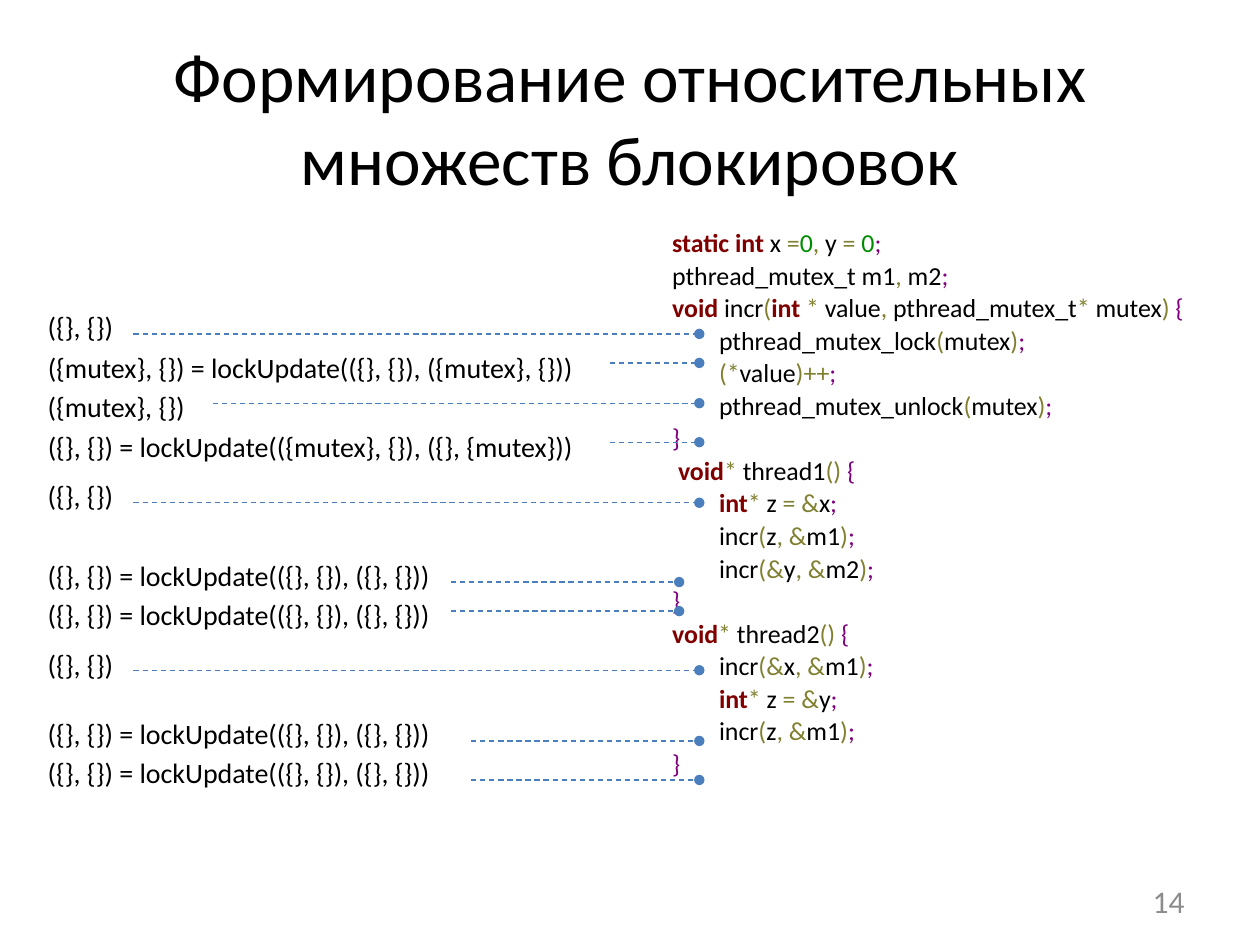
from itertools import groupby

from lxml import etree
from pptx import Presentation
from pptx.dml.color import RGBColor
from pptx.enum import dml, shapes, text
from pptx.oxml import ns
from pptx.util import Pt

BLACK = RGBColor(0x00, 0x00, 0x00)
GRAY = RGBColor(0x8C, 0x8C, 0x8C)
BLUE = RGBColor(0x4B, 0x7E, 0xBC)
MAROON = RGBColor(0x80, 0x00, 0x00)
OLIVE = RGBColor(0x80, 0x80, 0x30)
GREEN = RGBColor(0x00, 0x8C, 0x00)
PURPLE = RGBColor(0x80, 0x00, 0x80)

KEYWORDS = {"static", "int", "void"}
CODE_INDENT = 26.8

CODE = """static int x =0, y = 0;
pthread_mutex_t m1, m2;
void incr(int * value, pthread_mutex_t* mutex) {
\tpthread_mutex_lock(mutex);
\t(*value)++;
\tpthread_mutex_unlock(mutex);
}
 void* thread1() {
\tint* z = &x;
\tincr(z, &m1);
\tincr(&y, &m2);
}
void* thread2() {
\tincr(&x, &m1);
\tint* z = &y;
\tincr(z, &m1);
}"""

EMPTY = "({}, {})"
HELD = "({mutex}, {})"
UNCHANGED = "({}, {}) = lockUpdate(({}, {}), ({}, {}))"
LOCKED = "({mutex}, {}) = lockUpdate(({}, {}), ({mutex}, {}))"
UNLOCKED = "({}, {}) = lockUpdate(({mutex}, {}), ({}, {mutex}))"

# Lock set, top of its label, height of its leader, leader start and end
LOCK_SETS = [
    (EMPTY, 173.5, 190.8, 76.3, 399.6),
    (LOCKED, 196.5, 207.4, 348.5, 399.6),
    (HELD, 219, 230.4, 121.7, 399.6),
    (UNLOCKED, 242, 252.7, 348.5, 399.6),
    (EMPTY, 270, 287.3, 76.3, 399.6),
    (UNCHANGED, 315.4, 332.6, 257.8, 388.1),
    (UNCHANGED, 337.7, 349.2, 257.8, 388.1),
    (EMPTY, 366.5, 383, 76.3, 399.6),
    (UNCHANGED, 406, 423.4, 269.3, 399.6),
    (UNCHANGED, 428.4, 445.7, 269.3, 399.6),
]
LABEL_WIDTHS = {EMPTY: 52.6, HELD: 93.6, UNCHANGED: 235.4,
                LOCKED: 318.2, UNLOCKED: 318.2}


def char_kind(char):
    if char.isalnum() or char == "_":
        return "word"
    if char in ";{}":
        return "end"
    return "space" if char == " " else "operator"


def code_tokens(line):
    """Yield each token with its colour and weight."""
    for kind, chars in groupby(line, char_kind):
        token = "".join(chars)
        color = {"operator": OLIVE, "end": PURPLE}.get(kind, BLACK)
        if token in KEYWORDS:
            color = MAROON
        elif token.isdigit():
            color = GREEN
        yield token, color, token in KEYWORDS


class SlideBuilder:
    font = "Calibri"

    def __init__(self, slide):
        self.slide = slide

    def apply(self, target, values):
        for name, value in values.items():
            setattr(target, name, value)

    def span(self, para, words, size, color=BLACK, bold=False):
        span = para.add_run()
        span.text = words
        self.apply(span.font, {"name": self.font, "size": Pt(size), "bold": bold})
        span.font.color.rgb = color

    def title(self, words, left, top, width, height, size):
        title = self.slide.shapes.title
        self.apply(title, {"left": Pt(left), "top": Pt(top),
                           "width": Pt(width), "height": Pt(height)})
        self.apply(title.text_frame, {"word_wrap": True,
                                      "auto_size": text.MSO_AUTO_SIZE.NONE,
                                      "vertical_anchor": text.MSO_ANCHOR.MIDDLE})
        para = title.text_frame.paragraphs[0]
        para.alignment = text.PP_ALIGN.CENTER
        self.span(para, words, size)

    def box(self, left, top, width, height, **frame_format):
        box = self.slide.shapes.add_textbox(Pt(left), Pt(top), Pt(width), Pt(height))
        self.apply(box.text_frame, {"word_wrap": True, **frame_format})
        return box.text_frame

    def label(self, words, left, top, width, height, size, color=BLACK,
              align=text.PP_ALIGN.LEFT, **frame_format):
        para = self.box(left, top, width, height, **frame_format).paragraphs[0]
        para.alignment = align
        self.span(para, words, size, color)

    def code(self, source, left, top, width, height, size):
        frame = self.box(left, top, width, height)
        for index, line in enumerate(source.split("\n")):
            para = frame.add_paragraph() if index else frame.paragraphs[0]
            self.apply(para, {"line_spacing": 0.9, "space_before": Pt(2.65)})
            if line.startswith("\t"):
                para._p.get_or_add_pPr().set("marL", str(Pt(CODE_INDENT)))
            for token, color, bold in code_tokens(line.lstrip("\t")):
                self.span(para, token, size, color, bold)

    def leader(self, start, end, y):
        leader = self.slide.shapes.add_connector(
            shapes.MSO_CONNECTOR.STRAIGHT, Pt(start), Pt(y), Pt(end), Pt(y))
        leader.line.color.rgb = BLUE
        self.apply(leader.line, {"width": Pt(0.75),
                                 "dash_style": dml.MSO_LINE.DASH})
        etree.SubElement(leader.line._ln, ns.qn("a:tailEnd"), type="oval")
        etree.SubElement(leader._element.spPr, ns.qn("a:effectLst"))


deck = Presentation()
deck.slide_width, deck.slide_height = Pt(720), Pt(540)
page = SlideBuilder(deck.slides.add_slide(deck.slide_layouts[5]))

# Title and page number
page.title("Формирование относительных множеств блокировок",
           36, 21.6, 648, 90, 39.6)
page.label("14", 516, 500.5, 168, 28.8, 18, GRAY, text.PP_ALIGN.RIGHT,
           vertical_anchor=text.MSO_ANCHOR.MIDDLE)

# Program
page.code(CODE, 377, 128, 317.5, 356.4, 14.8)

# Lock sets with leaders to the program lines
for words, top, y, start, end in LOCK_SETS:
    page.leader(start, end, y)
    page.label(words, 20.2, top, LABEL_WIDTHS[words], 26.6, 16, word_wrap=False,
               auto_size=text.MSO_AUTO_SIZE.SHAPE_TO_FIT_TEXT)

deck.save("out.pptx")
